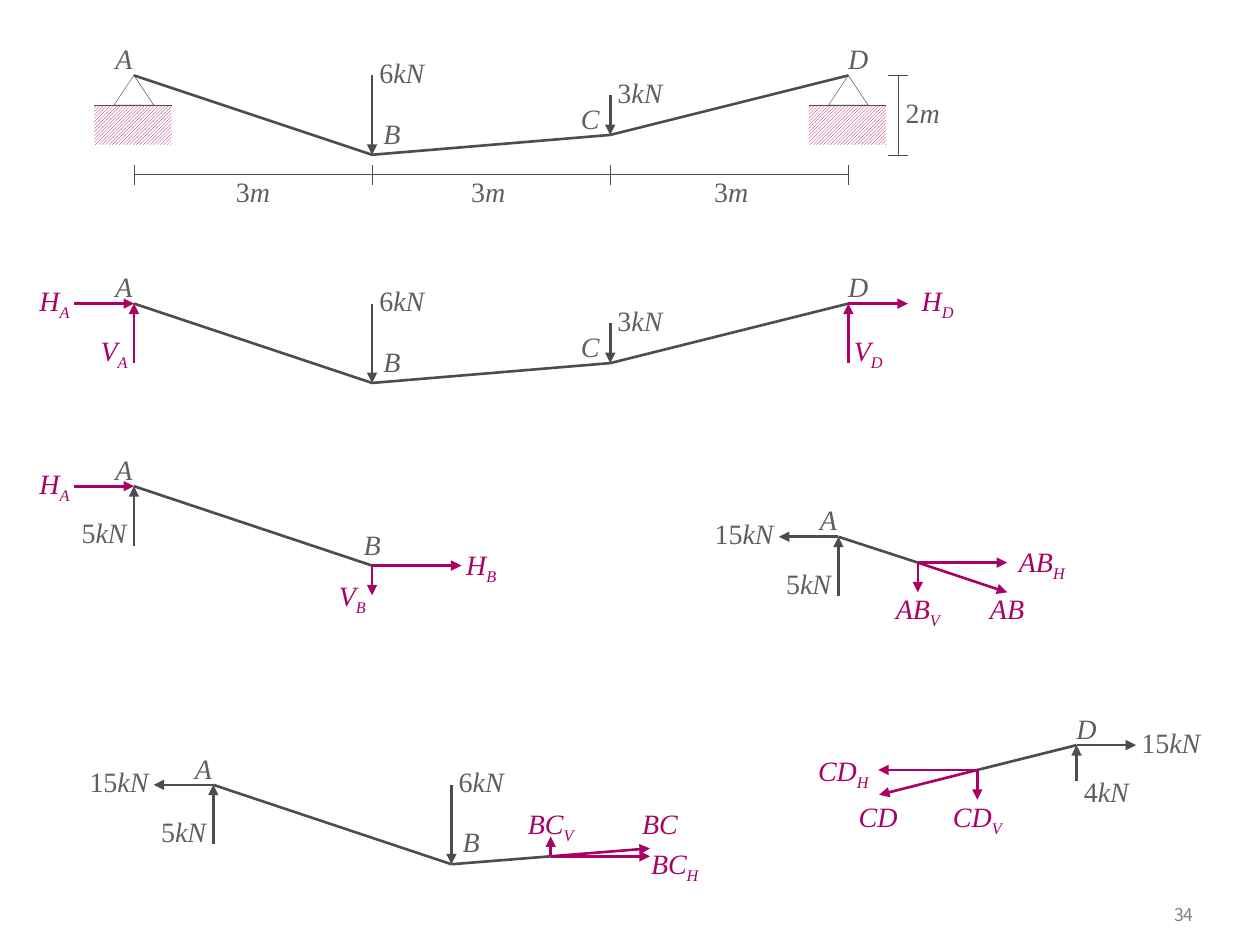
"""Build a slide of cable statics: loaded cable, reactions and section cuts."""
from lxml import etree
from pptx import Presentation
from pptx.dml.color import RGBColor
from pptx.enum import dml, shapes, text
from pptx.oxml.ns import qn
from pptx.util import Pt

GREY = RGBColor(0x4D, 0x4D, 0x4D)
LABEL_GREY = RGBColor(0x5F, 0x5F, 0x5F)
NUMBER_GREY = RGBColor(0x80, 0x80, 0x80)
MAGENTA = RGBColor(0xA9, 0x01, 0x65)
WHITE = RGBColor(0xFF, 0xFF, 0xFF)
GRID = 5.67

LINE_STYLES = {
    "member": (GREY, 1.5, False),
    "load": (GREY, 1.5, True),
    "unknown": (MAGENTA, 1.5, True),
    "dimension": (GREY, 0.25, False),
}
LABEL_FORMAT = {"name": "Times New Roman", "size": Pt(16)}
NUMBER_FORMAT = {"name": "Noto Sans CJK KR", "size": Pt(10)}


def draw_line(group, origin, style, x1, y1, x2, y2):
    """Draw a line given in grid steps from the diagram's joint."""
    left, top = origin
    ends = [Pt(GRID * n) for n in (left + x1, top + y1, left + x2, top + y2)]
    line = group.shapes.add_connector(shapes.MSO_CONNECTOR.STRAIGHT, *ends)
    colour, width, arrow = LINE_STYLES[style]
    line.line.color.rgb = colour
    line.line.width = Pt(width)
    if arrow:
        ln = line.line._get_or_add_ln()
        etree.SubElement(ln, qn("a:tailEnd"), type="triangle")
    etree.SubElement(line._element.spPr, qn("a:effectLst"))


def write_label(group, origin, wording, x, y, width):
    """Write a label: digits upright, letters italic, subscript after _."""
    left, top = origin
    box = group.shapes.add_textbox(
        Pt(GRID * (left + x)), Pt(GRID * (top + y)), Pt(GRID * width), Pt(GRID * 4))
    frame = box.text_frame
    for side in ("left", "right", "top", "bottom"):
        setattr(frame, f"margin_{side}", 0)
    paragraph = frame.paragraphs[0]
    paragraph.alignment = text.PP_ALIGN.CENTER
    main, _, subscript = wording.partition("_")
    letters = main.lstrip("0123456789")
    digits = main[:len(main) - len(letters)]
    is_unknown = not digits and len(wording) > 1
    for part, italic, offset in ((digits, False, 0), (letters, True, 0), (subscript, True, -25000)):
        if part:
            run = paragraph.add_run()
            run.text = part
            for key, value in LABEL_FORMAT.items():
                setattr(run.font, key, value)
            run.font.italic = italic
            run.font.color.rgb = MAGENTA if is_unknown else LABEL_GREY
            if offset:
                run._r.get_or_add_rPr().set("baseline", str(offset))


cable_lines = [
    ("member", 0, 0, 24, 8), ("member", 24, 8, 48, 6), ("member", 48, 6, 72, 0),
    ("load", 24, 0, 24, 8), ("load", 48, 2, 48, 6),
]
cable_labels = [
    ("A", -3, -3.4, 4), ("B", 24, 4.1, 4), ("C", 44, 2.6, 4), ("D", 71, -3.4, 4),
    ("6kN", 24, -2, 6), ("3kN", 48, 0, 6),
]
dimension_lines = [("dimension", 0, 10, 72, 10), ("dimension", 77, 8, 77, 0)]
dimension_lines += [("dimension", x, 11, x, 9) for x in range(0, 73, 24)]
dimension_lines += [("dimension", 76, y, 78, y) for y in (0, 8)]
dimension_labels = [("3m", 10, 10, 4), ("3m", 33.5, 10, 4.4), ("3m", 58, 10, 4.4), ("2m", 77, 2, 5)]

thrust_line = ("unknown", -6, 0, 0, 0)
thrust_label = ("H_A", -10, -2, 4)
left_lines = [("load", 0, 6, 0, 0)]
left_labels = [("A", -3, -3.4, 4), ("5kN", -6, 3, 6)]
solved_lines = left_lines + [("load", 0, 0, -6, 0)]
solved_labels = left_labels + [("15kN", -13, -2, 7)]

diagrams = [
    ((13.5, 7.6), cable_lines + dimension_lines, cable_labels + dimension_labels),
    ((13.5, 30.6),
     cable_lines + [thrust_line, ("unknown", 0, 6, 0, 0),
                    ("unknown", 72, 6, 72, 0), ("unknown", 72, 0, 78, 0)],
     cable_labels + [thrust_label, ("V_A", -4, 3, 4), ("V_D", 72, 3, 4), ("H_D", 79, -2, 4)]),
    ((13.5, 49),
     left_lines + [thrust_line, ("member", 0, 0, 24, 8),
                   ("unknown", 24, 8, 24, 11), ("unknown", 24, 8, 33, 8)],
     left_labels + [thrust_label, ("B", 22, 4.2, 4), ("H_B", 33, 6.2, 4), ("V_B", 20, 9.3, 4)]),
    ((84.5, 54.1),
     solved_lines + [("member", 0, 0, 8, 2.6), ("unknown", 8, 2.6, 8, 5.6),
                     ("unknown", 8, 2.6, 17, 5.6), ("unknown", 8, 2.6, 17, 2.6)],
     solved_labels + [("AB", 15, 5.5, 4), ("AB_H", 17, 0.8, 7), ("AB_V", 5, 5.5, 6)]),
    ((21.5, 79.1),
     solved_lines + [("load", 24, 0, 24, 8), ("member", 0, 0, 24, 8), ("member", 24, 8, 34, 7.2),
                     ("unknown", 34, 7.2, 34, 5.2), ("unknown", 34, 7.2, 44, 7.2),
                     ("unknown", 34, 7.2, 44, 6.4)],
     solved_labels + [("6kN", 24, -2, 6), ("B", 24, 4, 4), ("BC_H", 44, 6.2, 5),
                      ("BC_V", 31, 2.2, 6), ("BC", 42, 2.2, 6)]),
    ((108.5, 75.1),
     [("load", 0, 3.6, 0, 0), ("load", 0, 0, 6, 0), ("member", -10, 2.5, 0, 0),
      ("unknown", -10, 2.5, -19.9, 5), ("unknown", -10, 2.5, -10, 5.5),
      ("unknown", -10, 2.5, -20, 2.5)],
     [("D", -1, -3.4, 4), ("4kN", 0, 3, 6), ("15kN", 6, -2, 7), ("CD", -22, 5.5, 4),
      ("CD_H", -27, 0.8, 7), ("CD_V", -13, 5.5, 6)]),
]

prs = Presentation()
prs.slide_width, prs.slide_height = Pt(720), Pt(540)
slide = prs.slides.add_slide(prs.slide_layouts[6])

for origin, lines, labels in diagrams:
    diagram = slide.shapes.add_group_shape()
    if lines[-len(dimension_lines):] == dimension_lines:
        for joint in (0, 72):
            left, top = origin[0] + joint, origin[1]
            ground = diagram.shapes.add_shape(
                shapes.MSO_SHAPE.RECTANGLE, Pt(GRID * (left - 4)), Pt(GRID * (top + 3)),
                Pt(GRID * 7.8), Pt(GRID * 4))
            ground.shadow.inherit = False
            ground.fill.patterned()
            ground.fill.pattern = dml.MSO_PATTERN.LIGHT_UPWARD_DIAGONAL
            ground.fill.fore_color.rgb = MAGENTA
            ground.fill.back_color.rgb = WHITE
            ground.line.fill.background()
            draw_line(diagram, origin, "dimension", joint - 4, 3, joint + 3.8, 3)
            pin = diagram.shapes.add_shape(
                shapes.MSO_SHAPE.ISOSCELES_TRIANGLE, Pt(GRID * (left - 2)), Pt(GRID * top),
                Pt(GRID * 4), Pt(GRID * 3))
            pin.shadow.inherit = False
            pin.fill.background()
            pin.line.color.rgb = GREY
            pin.line.width = Pt(0.25)
    for line in lines:
        draw_line(diagram, origin, *line)
    for label in labels:
        write_label(diagram, origin, *label)

page_number = slide.shapes.add_textbox(Pt(638), Pt(510.5), Pt(51), Pt(24)).text_frame
page_number.word_wrap = True
page_number.vertical_anchor = text.MSO_ANCHOR.MIDDLE
number = page_number.paragraphs[0]
number.alignment = text.PP_ALIGN.RIGHT
number_run = number.add_run()
number_run.text = "34"
for key, value in NUMBER_FORMAT.items():
    setattr(number_run.font, key, value)
number_run.font.color.rgb = NUMBER_GREY

prs.save("out.pptx")
